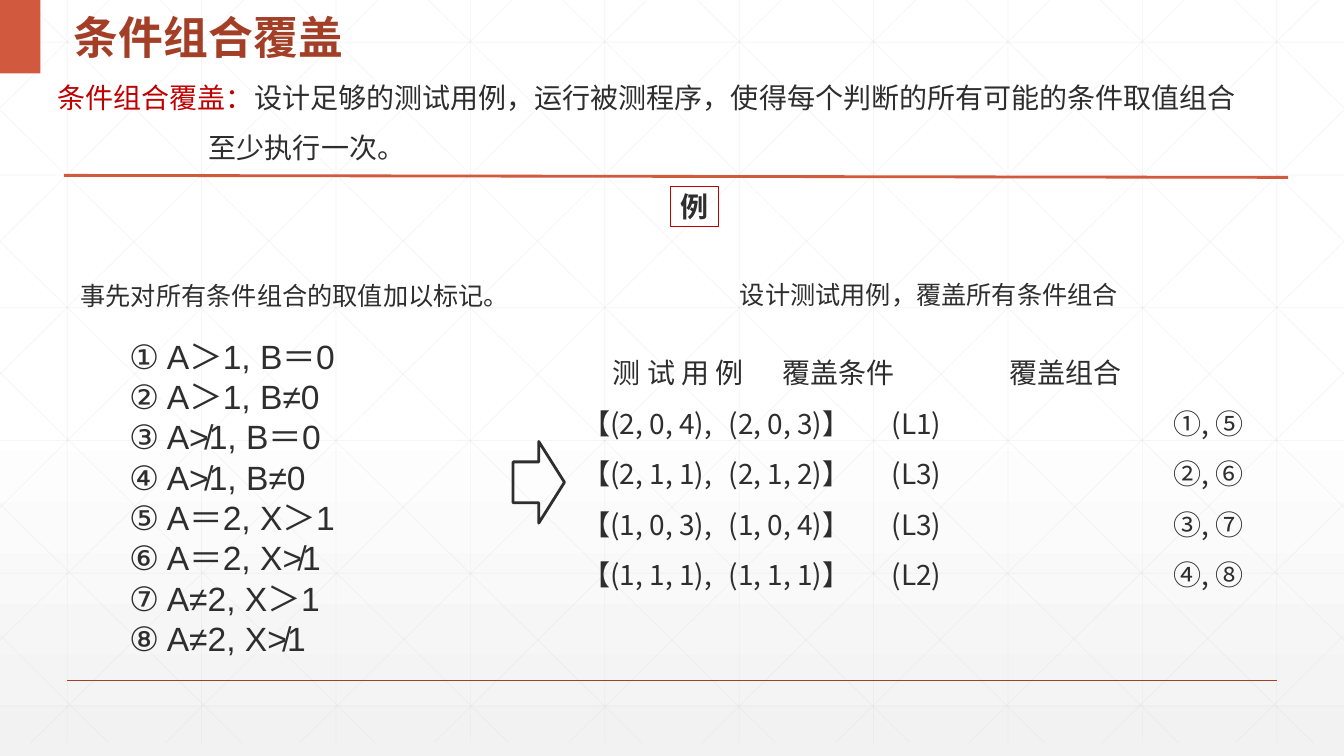
import pptx
import pptx.util
import pptx.dml.color
import pptx.enum.dml
import pptx.enum.shapes
import pptx.enum.text
import pptx.oxml
import pptx.oxml.ns

RGBColor = pptx.dml.color.RGBColor
Pt = pptx.util.Pt
PP_ALIGN = pptx.enum.text.PP_ALIGN
ANCHOR = pptx.enum.text.MSO_ANCHOR
SHAPE = pptx.enum.shapes.MSO_SHAPE

WHITE = RGBColor(0xFF, 0xFF, 0xFF)
PALE = RGBColor(0xF2, 0xF2, 0xF2)
MESH = RGBColor(0xD9, 0xD9, 0xD9)
INK = RGBColor(0x2D, 0x2E, 0x2D)
RED = RGBColor(0xC0, 0x00, 0x00)
RUST = RGBColor(0xA4, 0x3F, 0x27)
ORANGE = RGBColor(0xD1, 0x5A, 0x3E)

LATIN = "Arial"
CJK = "Noto Sans CJK SC"
COLUMNS, ROWS = 40, 22.5
SLIDE_W = pptx.util.Inches(13.33)
SLIDE_H = pptx.util.Inches(7.5)

CONDITIONS = ["① A＞1, B＝0", "② A＞1, B≠0", "③ A≯1, B＝0", "④ A≯1, B≠0",
              "⑤ A＝2, X＞1", "⑥ A＝2, X≯1", "⑦ A≠2, X＞1", "⑧ A≠2, X≯1"]
CASES = [("(2, 0, 4)", "(2, 0, 3)", "(L1)", "①, ⑤"),
         ("(2, 1, 1)", "(2, 1, 2)", "(L3)", "②, ⑥"),
         ("(1, 0, 3)", "(1, 0, 4)", "(L3)", "③, ⑦"),
         ("(1, 1, 1)", "(1, 1, 1)", "(L2)", "④, ⑧")]


def col(count):
    return round(SLIDE_W * count / COLUMNS)


def row(count):
    return round(SLIDE_H * count / ROWS)


def place(left, top, width, height):
    return col(left), row(top), col(width), row(height)


def add_line(shapes, start, end, color, weight, alpha=None):
    rule = shapes.add_connector(pptx.enum.shapes.MSO_CONNECTOR.STRAIGHT,
                                col(start[0]), row(start[1]), col(end[0]), row(end[1]))
    rule.line.color.rgb = color
    rule.line.width = Pt(weight)
    if alpha:
        tint = rule.line.fill._xPr.find(".//" + pptx.oxml.ns.qn("a:srgbClr"))
        pptx.oxml.ns
        tint.append(pptx.oxml.parse_xml(
            f'<a:alpha {pptx.oxml.ns.nsdecls("a")} val="{alpha * 1000}"/>'))
    rule._element.spPr.append(pptx.oxml.parse_xml(
        f'<a:effectLst {pptx.oxml.ns.nsdecls("a")}/>'))


def add_outline(slide, kind, box, color, weight):
    outline = slide.shapes.add_shape(kind, *place(*box))
    outline.shadow.inherit = False
    outline.fill.background()
    outline.line.color.rgb = color
    outline.line.width = Pt(weight)
    return outline


def style(paragraph, size, face, color=INK, bold=False):
    for run in paragraph.runs:
        run.font.size = Pt(size)
        run.font.name = face
        run.font.bold = bold
        run.font.color.rgb = color
        run.font._element.get_or_add_latin().addnext(pptx.oxml.parse_xml(
            f'<a:ea {pptx.oxml.ns.nsdecls("a")} typeface="{CJK}"/>'))


def add_text(slide, box, lines, size, face):
    frame = slide.shapes.add_textbox(*place(*box)).text_frame
    frame.word_wrap = True
    frame.text = "\n".join(lines)
    for paragraph in frame.paragraphs:
        style(paragraph, size, face)
    return frame


def add_heading(slide, box, wording):
    frame = add_text(slide, box, [wording], 18, LATIN)
    frame.word_wrap = False
    frame.paragraphs[0].alignment = PP_ALIGN.CENTER


def space_lines(frame, line_spacing, before):
    for index, paragraph in enumerate(frame.paragraphs):
        paragraph.line_spacing = line_spacing
        if index:
            paragraph.space_before = Pt(before)


def set_tabs(paragraph, stops):
    tabs = "".join(f'<a:tab pos="{col(stop)}" algn="l"/>' for stop in stops)
    paragraph._p.get_or_add_pPr().append(pptx.oxml.parse_xml(
        f'<a:tabLst {pptx.oxml.ns.nsdecls("a")}>{tabs}</a:tabLst>'))


def add_backdrop(slide, width, height):
    fill = slide.background.fill
    fill.gradient()
    fill.gradient_angle = 270
    for stop, position, color in zip(fill.gradient_stops, (0.53, 1), (WHITE, PALE)):
        stop.position = position
        stop.color.rgb = color

    lines = [((2 + 4 * i, 0), (2 + 4 * i, height)) for i in range(10)]
    lines += [((0, 1.26 + 3.95 * i), (width, 1.26 + 3.95 * i)) for i in range(6)]
    slope = 0.99
    diagonals = []
    for i in range(10):
        start = 0.75 + 4 * i
        end = min(width, start + height / slope)
        diagonals.append(((start, 0), (end, (end - start) * slope)))
    diagonals += [((0, 3.27 + 3.91 * i), (19.11 - 3.97 * i, height)) for i in range(5)]
    lines += diagonals
    lines += [((width - x1, y1), (width - x2, y2)) for (x1, y1), (x2, y2) in diagonals]

    mesh = slide.shapes.add_group_shape()
    for start, end in lines:
        add_line(mesh.shapes, start, end, MESH, 0.5, 25)
    add_line(slide.shapes, (2, 20.25), (width - 2, 20.25), RUST, 1)


def add_title(slide, left, top, width, height):
    tag = slide.shapes.add_shape(SHAPE.RECTANGLE, *place(left, top, 1.2, height))
    tag.shadow.inherit = False
    tag.fill.solid()
    tag.fill.fore_color.rgb = ORANGE
    tag.line.fill.background()

    title = slide.shapes.title
    slide.shapes._spTree.append(title._element)
    title.left, title.top, title.width, title.height = place(left + 1.9, top, width, height)
    frame = title.text_frame
    frame.text = "条件组合覆盖"
    frame.vertical_anchor = ANCHOR.MIDDLE
    frame.paragraphs[0].alignment = PP_ALIGN.LEFT
    style(frame.paragraphs[0], 32, LATIN, RUST, True)


def add_definition(slide, left, top, width, height):
    frame = add_text(slide, (left, top, width, height),
                     ["条件组合覆盖：", "至少执行一次。"], 20, CJK)
    term, ending = frame.paragraphs
    term.add_run().text = "设计足够的测试用例，运行被测程序，使得每个判断的所有可能的条件取值组合"
    style(term, 20, CJK)
    term.runs[0].font.color.rgb = RED
    ending._p.get_or_add_pPr().set("marL", str(col(4.5)))
    space_lines(frame, 0.76, 18)
    add_line(slide.shapes, (left + 0.48, top + 2.76), (left + 36.92, top + 2.82), ORANGE, 2)

    example = add_outline(slide, SHAPE.RECTANGLE, (left + 18.53, top + 3.09, 1.44, 1.2), RED, 0.75)
    example.text_frame.text = "例"
    example.text_frame.word_wrap = False
    example.text_frame.vertical_anchor = ANCHOR.MIDDLE
    example.text_frame.paragraphs[0].alignment = PP_ALIGN.CENTER
    style(example.text_frame.paragraphs[0], 20, LATIN, INK, True)


def add_conditions(slide, left, top, width, height):
    add_heading(slide, (left + 0.74, top, width - 0.75, 1.2), "事先对所有条件组合的取值加以标记。")
    frame = add_text(slide, (left, top + 1.65, width, height - 1.65), CONDITIONS, 24, LATIN)
    for paragraph in frame.paragraphs:
        paragraph._p.get_or_add_pPr().set("marL", str(col(2.25)))
        paragraph.line_spacing = Pt(28.8)
    add_outline(slide, SHAPE.RIGHT_ARROW, (left + 13.97, top + 4.95, 1.53, 2.43), INK, 2)


def add_cases(slide, left, top, width, height):
    add_heading(slide, (left + 4.62, top, 11.97, 1.2), "设计测试用例，覆盖所有条件组合")
    rows = [f"【{first},\t{second}】\t{route}\t{marks}" for first, second, route, marks in CASES]
    frame = add_text(slide, (left, top + 2.52, width, height - 2.52),
                     ["\t测 试 用 例\t覆盖条件\t覆盖组合"] + rows, 20, CJK)
    space_lines(frame, 0.75, 18)
    header, *cases = frame.paragraphs
    set_tabs(header, (0.9, 5.95, 12.7))
    for case in cases:
        set_tabs(case, (4.35, 9.2, 17.6))


def main():
    deck = pptx.Presentation()
    deck.slide_width, deck.slide_height = SLIDE_W, SLIDE_H
    slide = deck.slides.add_slide(deck.slide_layouts[5])
    add_backdrop(slide, COLUMNS, 22.11)
    add_title(slide, 0, 0, 17.08, 2.19)
    add_definition(slide, 1.42, 2.46, 37.65, 2.85)
    add_conditions(slide, 1.3, 8.19, 14.22, 11.64)
    add_cases(slide, 17.04, 8.16, 22.96, 10.41)
    deck.save("out.pptx")


if __name__ == "__main__":
    main()
